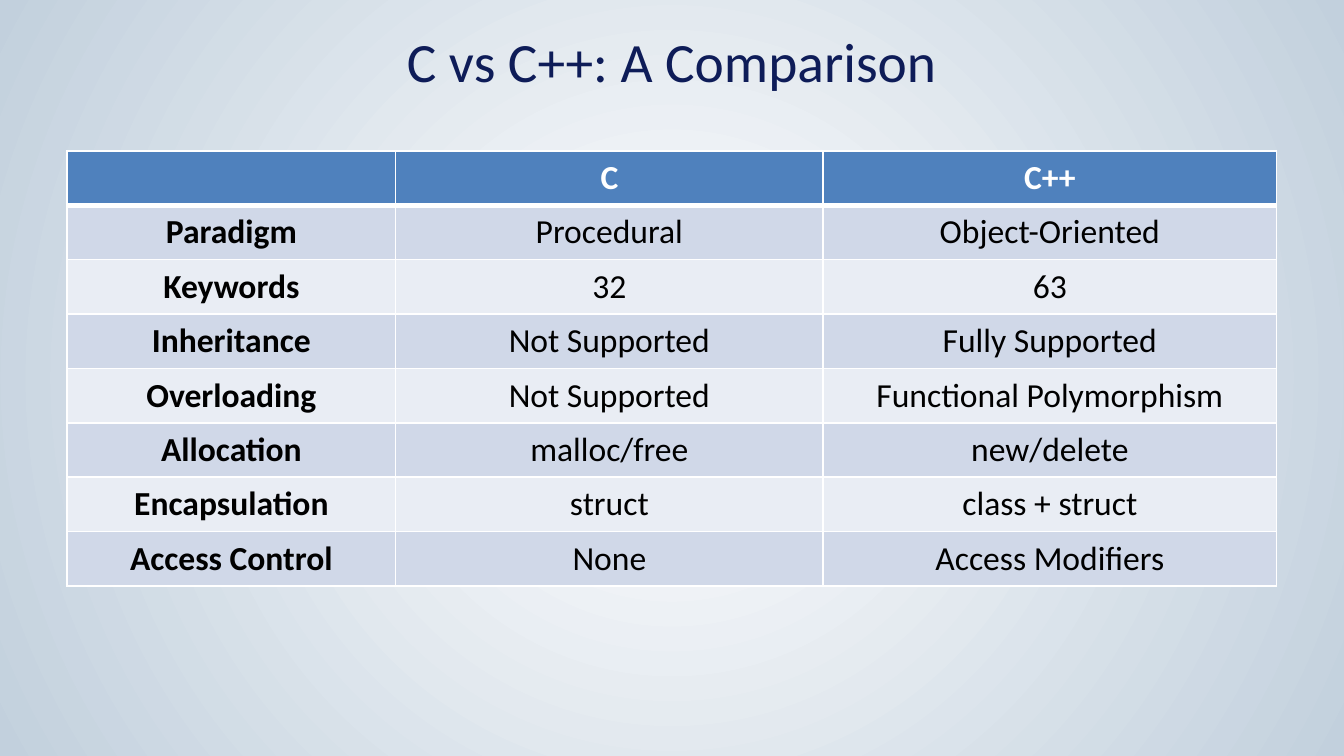
"""Build a one-slide comparison table of C and C++."""
from lxml import etree
from pptx import Presentation
from pptx.dml.color import RGBColor
from pptx.enum.text import MSO_ANCHOR, PP_ALIGN
from pptx.oxml.ns import qn
from pptx.util import Pt

TITLE = "C vs C++: A Comparison"
ROWS = [
    ("", "C", "C++"),
    ("Paradigm", "Procedural", "Object-Oriented"),
    ("Keywords", "32", "63"),
    ("Inheritance", "Not Supported", "Fully Supported"),
    ("Overloading", "Not Supported", "Functional Polymorphism"),
    ("Allocation", "malloc/free", "new/delete"),
    ("Encapsulation", "struct", "class + struct"),
    ("Access Control", "None", "Access Modifiers"),
]
COLUMN_WIDTHS = (176, 229, 243)
ROW_HEIGHT = 29.16
LEFT, TABLE_TOP = 36, 80.8

FONT = "Calibri"
CENTER = PP_ALIGN.CENTER
MIDDLE = MSO_ANCHOR.MIDDLE
WHITE = RGBColor(0xFF, 0xFF, 0xFF)
BLACK = RGBColor(0x00, 0x00, 0x00)
NAVY = RGBColor(0x0E, 0x1C, 0x58)
MIST = RGBColor(0xC2, 0xD0, 0xDD)
HEADER_BLUE = RGBColor(0x4F, 0x81, 0xBD)
BANDS = (RGBColor(0xE9, 0xED, 0xF4), RGBColor(0xD0, 0xD8, 0xE8))


def write_text(frame, text, *, size, color, bold=False):
    para = frame.paragraphs[0]
    para.alignment = CENTER
    span = para.add_run()
    span.text = text
    span.font.name = FONT
    span.font.size = Pt(size)
    span.font.bold = bold
    span.font.color.rgb = color


def paint_background(page):
    fill = page.background.fill
    fill.gradient()
    for stop, color in zip(fill.gradient_stops, (WHITE, MIST)):
        stop.color.rgb = color
    gradient = page.element.find(".//" + qn("a:gradFill"))
    gradient.remove(gradient.find(qn("a:lin")))
    circle = etree.SubElement(gradient, qn("a:path"), {"path": "circle"})
    etree.SubElement(circle, qn("a:fillToRect"), dict.fromkeys("ltrb", "50000"))


def set_borders(cell, **widths):
    properties = cell._tc.get_or_add_tcPr()
    for position, (side, width) in enumerate(widths.items()):
        line = etree.Element(qn(f"a:ln{side}"), {"w": str(Pt(width))})
        solid = etree.SubElement(line, qn("a:solidFill"))
        etree.SubElement(solid, qn("a:srgbClr"), {"val": str(WHITE)})
        properties.insert(position, line)


def add_title(page):
    box = page.shapes.add_textbox(Pt(LEFT), Pt(9.4), Pt(sum(COLUMN_WIDTHS)), Pt(45.4))
    box.text_frame.word_wrap = True
    box.text_frame.vertical_anchor = MIDDLE
    write_text(box.text_frame, TITLE, size=29.7, color=NAVY)


def add_comparison(page):
    table = page.shapes.add_table(
        len(ROWS), len(COLUMN_WIDTHS), Pt(LEFT), Pt(TABLE_TOP),
        Pt(sum(COLUMN_WIDTHS)), Pt(ROW_HEIGHT * len(ROWS)),
    ).table
    for column, width in zip(table.columns, COLUMN_WIDTHS):
        column.width = Pt(width)
    for row_index, labels in enumerate(ROWS):
        table.rows[row_index].height = Pt(ROW_HEIGHT)
        is_header = row_index == 0
        for column_index, label in enumerate(labels):
            cell = table.cell(row_index, column_index)
            cell.vertical_anchor = MIDDLE
            cell.fill.solid()
            cell.fill.fore_color.rgb = HEADER_BLUE if is_header else BANDS[row_index % 2]
            set_borders(cell, L=1, R=1, T=3 if row_index == 1 else 1, B=3 if is_header else 1)
            write_text(cell.text_frame, label, size=18,
                       color=WHITE if is_header else BLACK,
                       bold=is_header or column_index == 0)


def main():
    deck = Presentation()
    deck.slide_width, deck.slide_height = Pt(720), Pt(405)
    page = deck.slides.add_slide(deck.slide_layouts[6])
    paint_background(page)
    add_title(page)
    add_comparison(page)
    deck.save("out.pptx")


if __name__ == "__main__":
    main()
